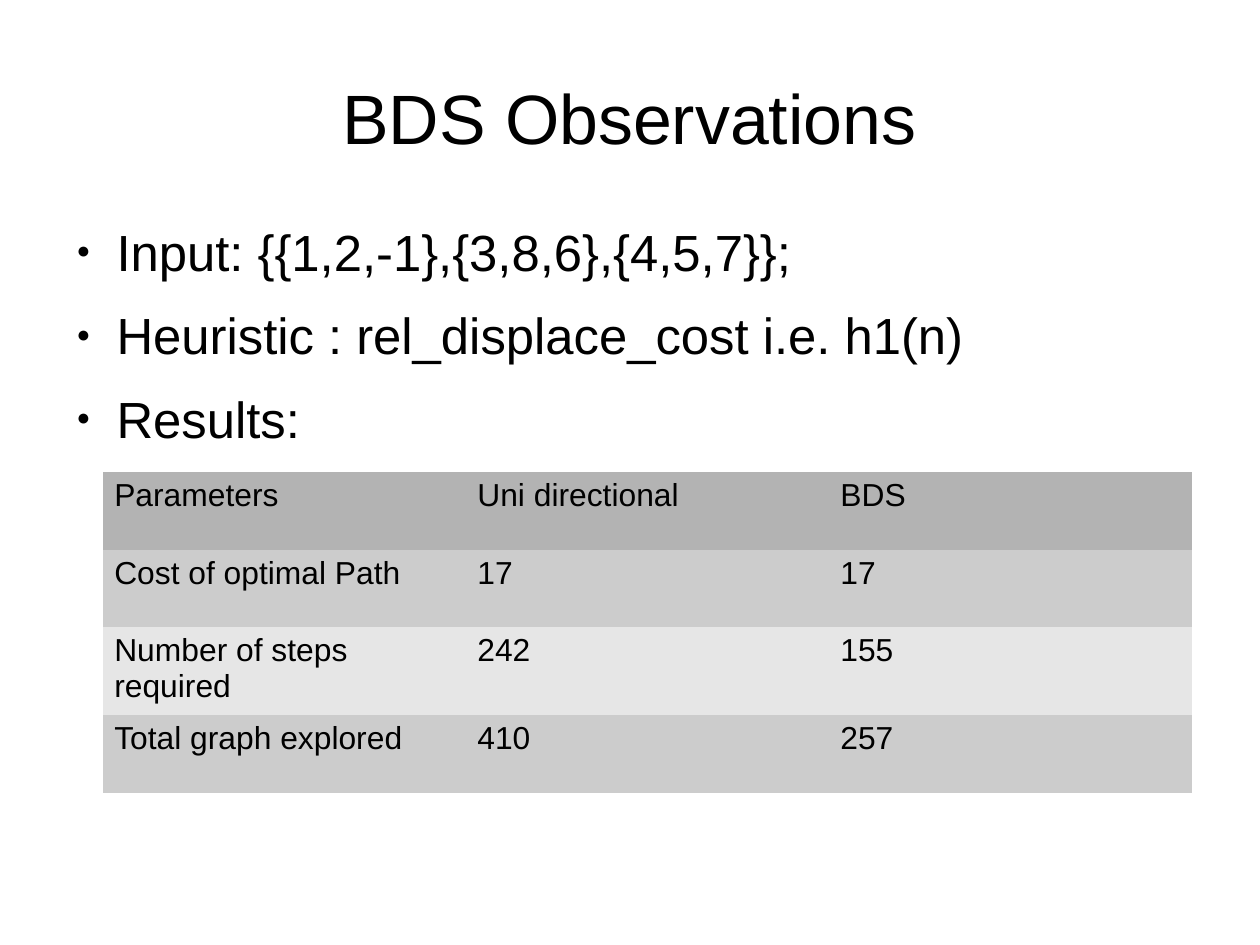
from lxml import etree
from pptx import Presentation
from pptx.dml.color import RGBColor
from pptx.enum.text import MSO_ANCHOR, PP_ALIGN
from pptx.oxml.ns import qn
from pptx.util import Cm, Inches, Pt

MIDDLE, TOP = MSO_ANCHOR.MIDDLE, MSO_ANCHOR.TOP
CENTER, LEFT, JUSTIFY = PP_ALIGN.CENTER, PP_ALIGN.LEFT, PP_ALIGN.JUSTIFY
TITLE_ONLY = 5
FONT, BLACK = "Arial", "000000"

TITLE_BOX = (0.55, 0.33, 9.92, 1.38)
BODY_BOX = (0.55, 1.93, 9.7, 4.8)
TABLE_BOX = (0.9, 4.13, 9.53, 2.77)
ROW_HEIGHTS = (0.68, 0.68, 0.51, 0.68)
ROW_FILLS = ("B3B3B3", "CCCCCC", "E6E6E6", "CCCCCC")

POINTS = (
    "Input: {{1,2,-1},{3,8,6},{4,5,7}};",
    "Heuristic : rel_displace_cost i.e. h1(n)",
    "Results:",
)
RESULTS = (
    ("Parameters", "Uni directional ", "BDS "),
    ("Cost of optimal Path", "17", "17"),
    ("Number of steps required", "242", "155"),
    ("Total graph explored", "410", "257"),
)


def color(value):
    """Turn a hex string into a colour."""
    return RGBColor.from_string(value)


def set_attrs(obj, values):
    """Set each named value on an object."""
    for name, value in values.items():
        setattr(obj, name, value)


def write(p, text, size, align):
    """Write one run of text in a paragraph."""
    p.alignment = align
    r = p.add_run()
    r.text = text
    set_attrs(r.font, {"name": FONT, "size": Pt(size), "bold": False})
    r.font.color.rgb = color(BLACK)


def frame(tf, anchor):
    """Give a text frame wrapping, an anchor and no insets."""
    set_attrs(tf, {
        "word_wrap": True, "vertical_anchor": anchor, "margin_left": 0,
        "margin_right": 0, "margin_top": 0, "margin_bottom": 0,
    })


def add_bullet(p, indent, hang):
    """Add a small round bullet with a hanging indent."""
    pPr = p._p.get_or_add_pPr()
    pPr.set("marL", str(Inches(indent)))
    pPr.set("indent", str(Inches(-hang)))
    clr = etree.SubElement(pPr, qn("a:buClr"))
    etree.SubElement(clr, qn("a:srgbClr"), val=BLACK)
    etree.SubElement(pPr, qn("a:buSzPct"), val="45000")
    etree.SubElement(pPr, qn("a:buFont"), typeface=FONT)
    etree.SubElement(pPr, qn("a:buChar"), char="●")


def place_title(slide, box, text):
    """Move and format the title placeholder."""
    sp = slide.shapes.title
    set_attrs(sp, dict(zip(("left", "top", "width", "height"), map(Inches, box))))
    frame(sp.text_frame, MIDDLE)
    write(sp.text_frame.paragraphs[0], text, 44, CENTER)


def add_points(slide, box, points):
    """Add the bulleted list."""
    tf = slide.shapes.add_textbox(*map(Inches, box)).text_frame
    frame(tf, TOP)
    for i, text in enumerate(points):
        p = tf.add_paragraph() if i else tf.paragraphs[0]
        p.space_after = Pt(14.2)
        add_bullet(p, 0.47, 0.35)
        write(p, text, 32, LEFT)


def add_results(slide, box, rows):
    """Add the table of results with a fill for each row."""
    n_cols = len(rows[0])
    table = slide.shapes.add_table(len(rows), n_cols, *map(Inches, box)).table
    for col in table.columns:
        col.width = Inches(box[2] / n_cols)
    for i, (values, height, fill) in enumerate(zip(rows, ROW_HEIGHTS, ROW_FILLS)):
        table.rows[i].height = Inches(height)
        for j, text in enumerate(values):
            cell = table.cell(i, j)
            cell.fill.solid()
            cell.fill.fore_color.rgb = color(fill)
            tcPr = cell._tc.tcPr
            for k, side in enumerate("LRTB"):
                ln = etree.Element(qn(f"a:ln{side}"))
                etree.SubElement(ln, qn("a:noFill"))
                tcPr.insert(k, ln)
            wraps = text == "Number of steps required"
            write(cell.text_frame.paragraphs[0], text, 20, LEFT if wraps else JUSTIFY)


def main():
    """Build and save the slide."""
    prs = Presentation()
    set_attrs(prs, {"slide_width": Cm(28), "slide_height": Cm(21)})
    slide = prs.slides.add_slide(prs.slide_layouts[TITLE_ONLY])
    place_title(slide, TITLE_BOX, "BDS Observations")
    add_points(slide, BODY_BOX, POINTS)
    add_results(slide, TABLE_BOX, RESULTS)
    prs.save("out.pptx")


if __name__ == "__main__":
    main()
